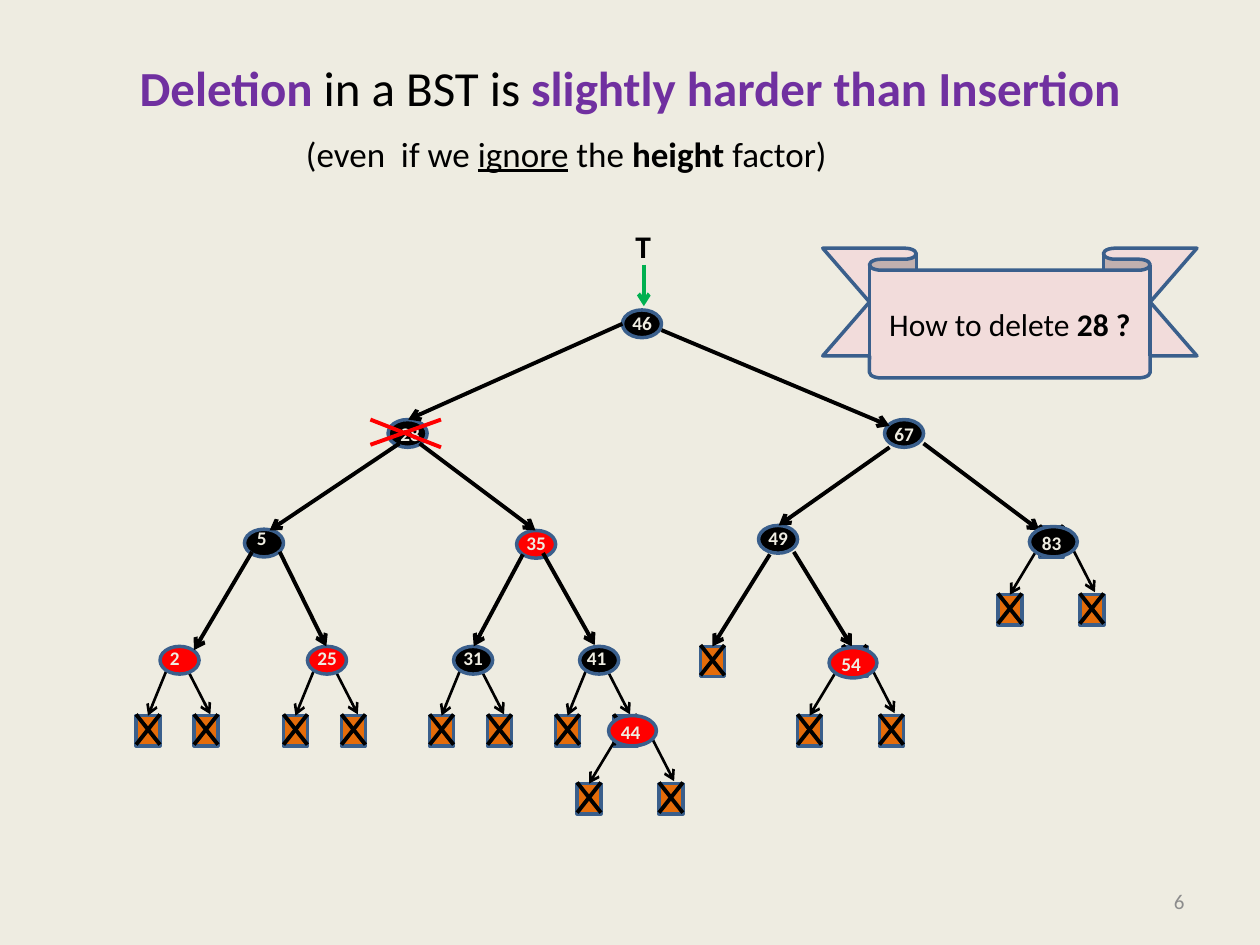
from typing import NamedTuple

from lxml.etree import SubElement
from pptx import Presentation
from pptx.dml.color import RGBColor
from pptx.enum.shapes import MSO_CONNECTOR, MSO_SHAPE
from pptx.enum.text import MSO_ANCHOR, MSO_AUTO_SIZE, PP_ALIGN
from pptx.oxml.ns import qn
from pptx.util import Pt

PX = 9144
BLACK, RED, GREEN, PURPLE = "000000", "FF0000", "00B050", "7030A0"
CREAM, ORANGE, PINK, GREY, OUTLINE = "EEECE1", "E46C0A", "F2DCDB", "8C8C8C", "3A5F8C"


class Box(NamedTuple):
    left: int
    top: int
    width: int
    height: int

    def inside(self, x, y, width=0, height=0):
        return Box(self.left + x, self.top + y, width, height)

    def point(self, x, y):
        return self.left + x, self.top + y

    def emu(self):
        return [length * PX for length in self]


class Fan(NamedTuple):
    left_start: tuple
    left_leaf: tuple
    right_start: tuple
    right_end: tuple
    right_leaf: tuple


SMALL_FAN = Fan((6, 17), (-19, 55), (21, 17), (40, 54), (27, 55))
LARGE_FAN = Fan((5, 20), (-25, 54), (33, 15), (52, 52), (40, 54))

SMALL_NODES = [
    ("46", 394, 146, BLACK, 392, 142),
    ("67", 602, 233, BLACK, 600, 230),
    ("5", 94, 320, BLACK, 94, 313),
    ("49", 502, 317, BLACK, 500, 313),
    ("35", 310, 321, RED, 308, 317),
    ("28", 208, 233, BLACK, 208, 230),
    ("2", 27, 413, RED, 25, 408),
    ("25", 144, 413, RED, 142, 408),
    ("31", 260, 413, BLACK, 258, 408),
    ("41", 360, 413, BLACK, 356, 408),
]
LARGE_NODES = [
    ("83", 717, 318, BLACK),
    ("54", 558, 414, RED),
    ("44", 383, 468, RED),
]
EDGES = [
    ((394, 157), (224, 233)),
    ((217, 252), (114, 321)),
    ((315, 340), (276, 413)),
    ((100, 338), (54, 416)),
    ((606, 255), (518, 317)),
    ((233, 252), (325, 321)),
    ((633, 252), (725, 321)),
    ((122, 338), (159, 413)),
    ((331, 339), (372, 412)),
    ((530, 338), (576, 413)),
    ((425, 162), (606, 238)),
]


def paint(fill, color):
    fill.solid()
    fill.fore_color.rgb = RGBColor.from_string(color)


def write(frame, spans, size, align=PP_ALIGN.LEFT):
    para = frame.paragraphs[0]
    para.alignment = align
    for text, color, bold, underline in spans:
        span = para.add_run()
        span.text = text
        span.font.name = "Calibri"
        span.font.size = Pt(size)
        span.font.bold = bold
        span.font.underline = underline
        paint(span.font.fill, color)


def add_text(page, box, spans, size, align=PP_ALIGN.LEFT, wrap=True, grow=False):
    frame = page.shapes.add_textbox(*box.emu()).text_frame
    frame.word_wrap = wrap
    if grow:
        frame.auto_size = MSO_AUTO_SIZE.SHAPE_TO_FIT_TEXT
    else:
        frame.vertical_anchor = MSO_ANCHOR.MIDDLE
    write(frame, spans, size, align)
    return frame


def add_shape(page, kind, box, color):
    shape = page.shapes.add_shape(kind, *box.emu())
    shape.shadow.inherit = False
    paint(shape.fill, color)
    paint(shape.line.fill, OUTLINE)
    shape.line.width = Pt(2)
    return shape


def add_line(page, start, end, color=BLACK, width=2.25, arrow=False, target=None):
    ends = [length * PX for length in start + end]
    line = page.shapes.add_connector(MSO_CONNECTOR.STRAIGHT, *ends)
    paint(line.line.fill, color)
    line.line.width = Pt(width)
    properties = line.element.spPr
    if arrow:
        SubElement(properties.get_or_add_ln(), qn("a:tailEnd"), type="arrow")
    SubElement(properties, qn("a:effectLst"))
    if target is not None:
        line.end_connect(target, 0)


def add_leaf(page, box):
    leaf = add_shape(page, MSO_SHAPE.RECTANGLE, box, ORANGE)
    add_line(page, box.point(19, -1), box.point(0, 23))
    add_line(page, box.point(0, -1), box.point(19, 23))
    return leaf


def add_fan(page, node, fan):
    left_leaf = add_leaf(page, node.inside(*fan.left_leaf, 19, 24))
    add_line(page, node.point(*fan.left_start), node.point(*fan.left_leaf),
             width=1.5, arrow=True, target=left_leaf)
    add_leaf(page, node.inside(*fan.right_leaf, 19, 24))
    add_line(page, node.point(*fan.right_start), node.point(*fan.right_end),
             width=1.5, arrow=True)


def add_label(page, box, key, wrap):
    add_text(page, box, [(key, CREAM, True, False)], 11, wrap=wrap, grow=True)


def add_tree(page, box):
    for key, x, y, color, label_x, label_y in SMALL_NODES:
        if key in ("2", "25", "31", "41"):
            add_fan(page, box.inside(x, y), SMALL_FAN)
    lone_leaf, *covered = [add_leaf(page, box.inside(x, y, 19, 24))
                           for x, y in [(456, 413), (569, 413), (725, 318)]]
    for key, x, y, color, label_x, label_y in SMALL_NODES:
        add_shape(page, MSO_SHAPE.OVAL, box.inside(x, y, 31, 22), color)
    for start, end in EDGES:
        add_line(page, box.point(*start), box.point(*end), arrow=True)
    add_line(page, box.point(511, 340), box.point(467, 413), arrow=True, target=lone_leaf)

    add_line(page, box.point(411, 110), box.point(411, 143), GREEN, arrow=True)
    add_text(page, box.inside(383, 75, 55, 40), [("T", BLACK, True, False)], 18,
             PP_ALIGN.CENTER, grow=True)
    for key, x, y, color, label_x, label_y in SMALL_NODES:
        width = 20 + 8 * len(key)
        add_label(page, box.inside(label_x, label_y, width, 29), key, False)

    for key, x, y, color in LARGE_NODES:
        node = box.inside(x, y, 38, 24)
        add_fan(page, node, LARGE_FAN)
        add_shape(page, MSO_SHAPE.OVAL, node, color)
        add_label(page, node.inside(0, -1, 43, 29), key, True)


def add_heading(page, box):
    title = add_text(page, box.inside(0, 0, box.width, 125), [
        ("Deletion ", PURPLE, True, False),
        ("in a BST is ", BLACK, False, False),
        ("slightly harder than Insertion", PURPLE, True, False),
    ], 28, PP_ALIGN.CENTER)
    title.margin_bottom = 52 * PX
    add_text(page, box.inside(183, 70, 444, 44), [
        ("(even  if we ", BLACK, False, False),
        ("ignore", BLACK, False, True),
        (" the ", BLACK, False, False),
        ("height", BLACK, True, False),
        (" factor)", BLACK, False, False),
    ], 20, wrap=False, grow=True)


def add_question(page, box):
    ribbon = add_shape(page, MSO_SHAPE.DOWN_RIBBON, box, PINK)
    ribbon.adjustments[0] = 0.17
    ribbon.adjustments[1] = 0.75
    ribbon.text_frame.word_wrap = True
    ribbon.text_frame.vertical_anchor = MSO_ANCHOR.MIDDLE
    write(ribbon.text_frame, [("How to delete ", BLACK, False, False),
                              ("28 ?", BLACK, True, False)], 18, PP_ALIGN.CENTER)


def add_strike(page, box):
    add_line(page, box.point(0, 20), box.point(box.width, 0), RED)
    add_line(page, box.point(0, 0), box.point(box.width, box.height), RED)


def main():
    deck = Presentation()
    deck.slide_width, deck.slide_height = 1000 * PX, 750 * PX
    page = deck.slides.add_slide(deck.slide_layouts[6])
    paint(page.background.fill, CREAM)
    add_heading(page, Box(50, 30, 900, 125))
    add_text(page, Box(717, 695, 233, 40), [("6", GREY, False, False)], 12, PP_ALIGN.RIGHT)
    add_tree(page, Box(100, 100, 800, 550))
    add_question(page, Box(653, 197, 297, 103))
    add_strike(page, Box(294, 333, 56, 22))
    deck.save("out.pptx")


if __name__ == "__main__":
    main()
